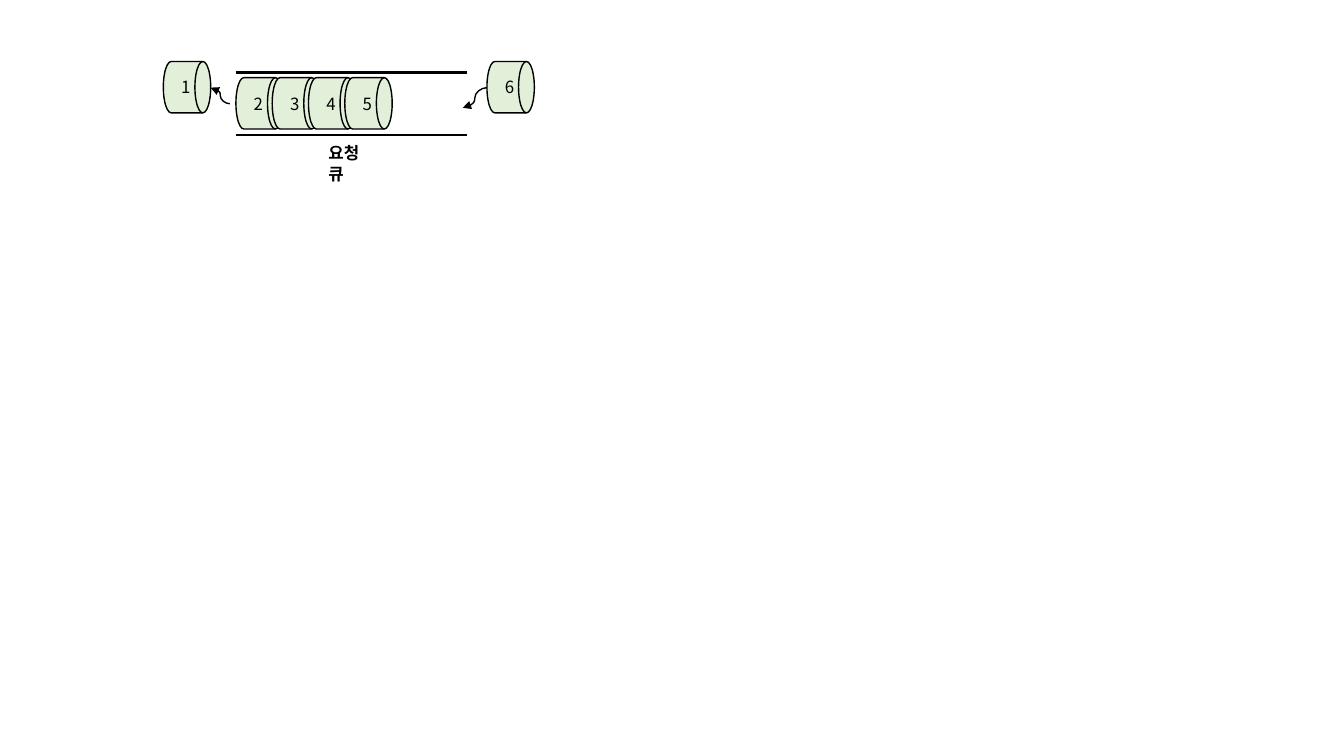
import pptx
import pptx.util
import pptx.dml.color
import pptx.enum.shapes
import pptx.enum.text
import pptx.oxml
import pptx.oxml.ns

Inches = pptx.util.Inches
Pt = pptx.util.Pt
KIND = pptx.enum.shapes.MSO_CONNECTOR

COLORS = {"ink": "000000", "drum": "E2F0D9"}
FACE = "Noto Sans CJK KR"
LABEL = "요청 큐"
QUEUED = ["2", "3", "4", "5"]
SERVED, NEXT = "1", "6"

DRUM_W, DRUM_H = 0.47, 0.51
STEP = 0.36
QUEUE_X, QUEUE_Y, QUEUE_END = 2.34, 0.77, 4.63
OUTER_Y = 0.61
RAILS = [0.72, 1.34]

DRUMS = [(SERVED, 1.62, OUTER_Y), (NEXT, 4.83, OUTER_Y)]
DRUMS += [(num, QUEUE_X + i * STEP, QUEUE_Y) for i, num in enumerate(QUEUED)]
ARROWS = [(2.28, 1.03, 2.09, 0.87), (4.83, 0.87, 4.59, 1.07)]


def color(name):
    return pptx.dml.color.RGBColor.from_string(COLORS[name])


def write(frame, text, align, bold=False):
    para = frame.paragraphs[0]
    para.alignment = align
    run = para.add_run()
    run.text = text
    style = {"name": FACE, "size": Pt(12), "bold": bold}
    for key, value in style.items():
        setattr(run.font, key, value)
    run.font.color.rgb = color("ink")
    east = pptx.oxml.parse_xml(
        f'<a:ea {pptx.oxml.ns.nsdecls("a")} typeface="{FACE}"/>')
    run.font._element.find(pptx.oxml.ns.qn("a:latin")).addnext(east)


def add_drum(shapes, num, left, top):
    drum = shapes.add_shape(
        pptx.enum.shapes.MSO_SHAPE.FLOWCHART_DIRECT_ACCESS_STORAGE,
        Inches(left), Inches(top), Inches(DRUM_W), Inches(DRUM_H))
    drum.shadow.inherit = False
    drum.fill.solid()
    drum.fill.fore_color.rgb = color("drum")
    drum.line.color.rgb = color("ink")
    drum.line.width = Pt(1)
    drum.text_frame.vertical_anchor = pptx.enum.text.MSO_ANCHOR.MIDDLE
    write(drum.text_frame, num, pptx.enum.text.PP_ALIGN.CENTER)


def add_line(shapes, kind, ends, width, arrow=False):
    link = shapes.add_connector(kind, *(Inches(v) for v in ends))
    link.line.color.rgb = color("ink")
    link.line.width = Pt(width)
    space = pptx.oxml.ns.nsdecls("a")
    if arrow:
        link.line._get_or_add_ln().append(
            pptx.oxml.parse_xml(f'<a:tailEnd {space} type="triangle"/>'))
    link._element.spPr.append(pptx.oxml.parse_xml(f"<a:effectLst {space}/>"))


def main():
    deck = pptx.Presentation()
    deck.slide_width, deck.slide_height = Inches(13.33), Inches(7.5)
    shapes = deck.slides.add_slide(deck.slide_layouts[6]).shapes

    for num, left, top in DRUMS:
        add_drum(shapes, num, left, top)
    for y in RAILS:
        add_line(shapes, KIND.STRAIGHT, (QUEUE_X, y, QUEUE_END, y), 1.5)
    for ends in ARROWS:
        add_line(shapes, KIND.CURVE, ends, 1, arrow=True)

    label = shapes.add_textbox(
        Inches(3.16), Inches(1.37), Inches(0.63), Inches(0.25))
    label.text_frame.word_wrap = True
    write(label.text_frame, LABEL, pptx.enum.text.PP_ALIGN.LEFT, bold=True)

    deck.save("out.pptx")


if __name__ == "__main__":
    main()
